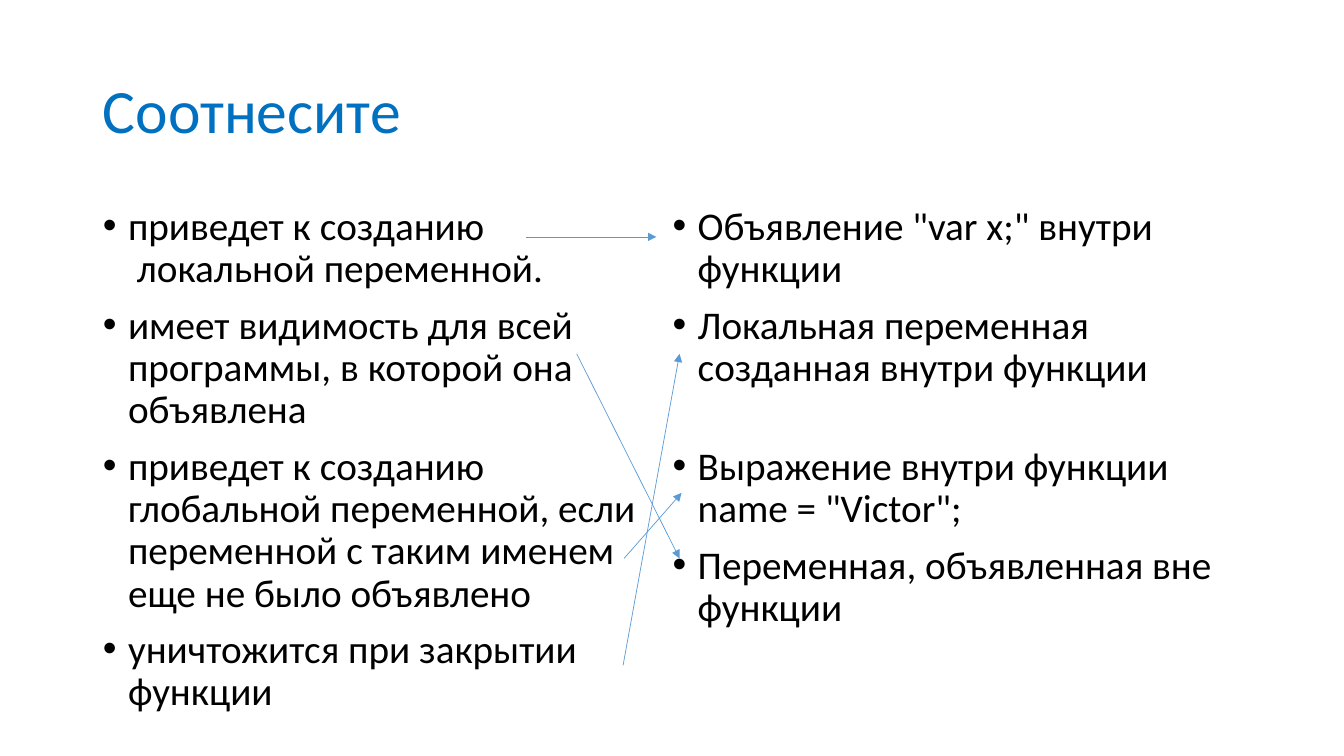
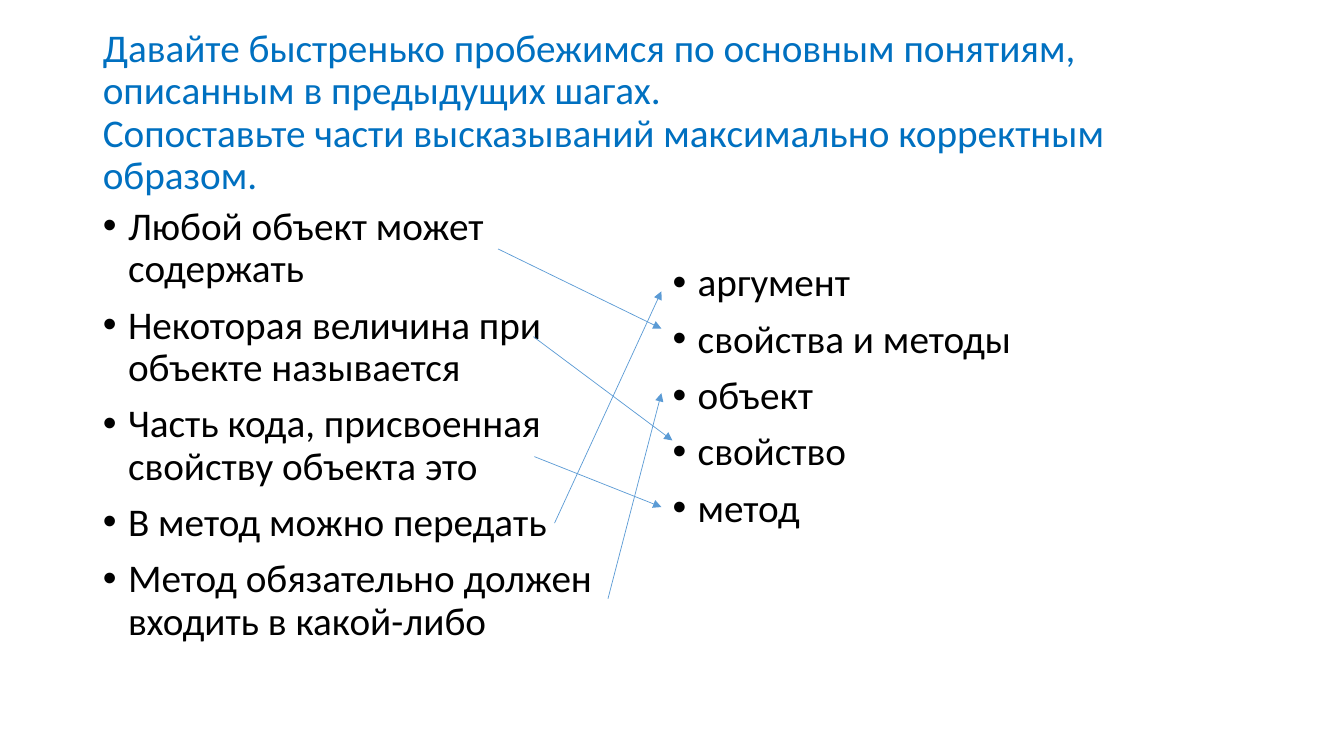
import pptx
import pptx.dml.color
import pptx.enum.shapes
import pptx.enum.text
import pptx.oxml.ns
import pptx.util
from lxml import etree
from pptx.util import Inches

TITLE_BLUE = pptx.dml.color.RGBColor(0x00, 0x70, 0xC0)
ARROW_BLUE = pptx.dml.color.RGBColor(0x5B, 0x9B, 0xD5)
BLACK = pptx.dml.color.RGBColor(0x00, 0x00, 0x00)
FONT = "Calibri"
BODY_SIZE = 28
LEFT_EDGE = 1.02
COLUMN_WIDTH = 5.65
RIGHT_EDGE = LEFT_EDGE + COLUMN_WIDTH
BODY_TOP = 2
ITEM_GAP = 10


class MatchingDeck:
    """Build matching exercises with a title, two bulleted columns and arrows."""

    def __init__(self):
        self.deck = pptx.Presentation()
        self.deck.slide_width = Inches(13.33)
        self.deck.slide_height = Inches(7.5)
        self.page = None

    def add_page(self, title, size):
        self.page = self.deck.slides.add_slide(self.deck.slide_layouts[6])
        frame = self.add_frame(LEFT_EDGE, 0.4, 2 * COLUMN_WIDTH, 1.45)
        frame.vertical_anchor = pptx.enum.text.MSO_ANCHOR.MIDDLE
        self.fill_paragraph(frame.paragraphs[0], title, size, TITLE_BLUE)

    def add_frame(self, left, top, width, height):
        box = self.page.shapes.add_textbox(
            Inches(left), Inches(top), Inches(width), Inches(height))
        frame = box.text_frame
        frame.word_wrap = True
        frame.margin_left = frame.margin_right = 0
        return frame

    def fill_paragraph(self, para, text, size, color):
        para.text = text
        para.line_spacing = 0.9
        for span in para.runs:
            span.font.name = FONT
            span.font.size = pptx.util.Pt(size)
            span.font.color.rgb = color

    def add_column(self, items, left, top=BODY_TOP, wide_gaps=None):
        frame = self.add_frame(left, top, COLUMN_WIDTH, 6.9 - top)
        for index, item in enumerate(items):
            para = frame.add_paragraph() if index else frame.paragraphs[0]
            self.fill_paragraph(para, item, BODY_SIZE, BLACK)
            if index:
                gap = (wide_gaps or {}).get(index, ITEM_GAP)
                para.space_before = pptx.util.Pt(gap)
            self.add_bullet(para)

    def add_bullet(self, para):
        settings = para._p.get_or_add_pPr()
        settings.set("marL", str(Inches(0.25)))
        settings.set("indent", str(Inches(-0.25)))
        font = etree.SubElement(settings, pptx.oxml.ns.qn("a:buFont"))
        font.set("typeface", "Arial")
        bullet = etree.SubElement(settings, pptx.oxml.ns.qn("a:buChar"))
        bullet.set("char", "•")

    def add_arrows(self, arrows):
        for points in arrows:
            arrow = self.page.shapes.add_connector(
                pptx.enum.shapes.MSO_CONNECTOR.STRAIGHT, *map(Inches, points))
            arrow.line.color.rgb = ARROW_BLUE
            arrow.line.width = pptx.util.Pt(0.5)
            outline = arrow.line._get_or_add_ln()
            tip = etree.SubElement(outline, pptx.oxml.ns.qn("a:tailEnd"))
            tip.set("type", "triangle")
            etree.SubElement(arrow._element.spPr, pptx.oxml.ns.qn("a:effectLst"))


def main():
    exercise = MatchingDeck()

    exercise.add_page("Соотнесите", 44)
    exercise.add_column([
        "приведет к созданию\v локальной переменной.",
        "имеет видимость для всей программы, в которой она объявлена",
        "приведет к созданию глобальной переменной, если переменной "
        "с таким именем еще не было объявлено",
        "уничтожится при закрытии функции",
    ], LEFT_EDGE)
    exercise.add_column([
        'Объявление "var x;" внутри функции',
        "Локальная переменная созданная внутри функции",
        'Выражение внутри функции name = "Victor";',
        "Переменная, объявленная вне функции",
    ], RIGHT_EDGE, wide_gaps={2: 40.5})
    exercise.add_arrows([
        (5.22, 2.35, 6.51, 2.35),
        (5.72, 3.51, 6.74, 5.54),
        (6.19, 5.54, 6.76, 4.89),
        (6.18, 6.6, 6.74, 3.51),
    ])

    exercise.add_page(
        "Давайте быстренько пробежимся по основным понятиям, "
        "описанным в предыдущих шагах.\v"
        "Сопоставьте части высказываний максимально корректным образом.",
        BODY_SIZE)
    exercise.add_column([
        "Любой объект может\vсодержать",
        "Некоторая величина при объекте называется",
        "Часть кода, присвоенная свойству объекта это",
        "В метод можно передать",
        "Метод обязательно должен входить в какой-либо",
    ], LEFT_EDGE)
    exercise.add_column(
        ["аргумент", "свойства и методы", "объект", "свойство", "метод"],
        RIGHT_EDGE, top=2.56)
    exercise.add_arrows([
        (4.94, 2.47, 6.56, 3.26),
        (5.29, 3.34, 6.67, 4.37),
        (5.3, 4.53, 6.56, 5.03),
        (5.5, 5.19, 6.56, 2.89),
        (6.03, 5.94, 6.56, 3.9),
    ])

    exercise.deck.save("out.pptx")


if __name__ == "__main__":
    main()
